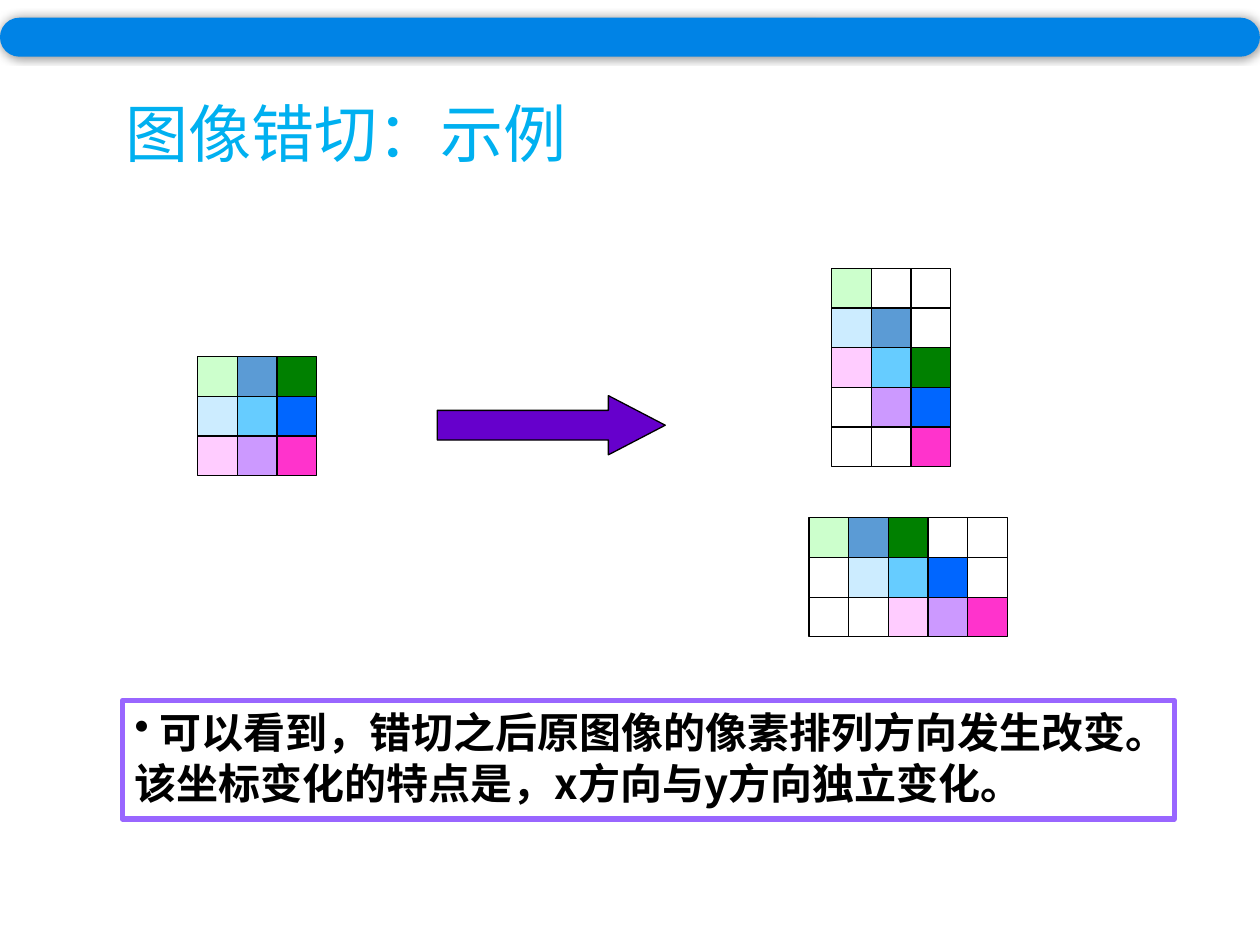
from lxml.etree import SubElement
from pptx import Presentation
from pptx.dml.color import RGBColor
from pptx.enum.shapes import MSO_SHAPE
from pptx.enum.text import MSO_ANCHOR, PP_ALIGN
from pptx.oxml.ns import qn
from pptx.util import Inches, Pt

WIDTH, HEIGHT = 10, 7.5
CELL = 0.315
CHINESE_FONT, LATIN_FONT = "Noto Sans CJK SC", "Roboto"

BLACK = RGBColor(0x00, 0x00, 0x00)
WHITE = RGBColor(0xFF, 0xFF, 0xFF)
BAR_BLUE = RGBColor(0x00, 0x83, 0xE6)
TITLE_BLUE = RGBColor(0x00, 0xB0, 0xF0)
ARROW_PURPLE = RGBColor(0x66, 0x00, 0xCC)
FRAME_PURPLE = RGBColor(0x99, 0x66, 0xFF)
PALE_GREEN = RGBColor(0xCC, 0xFF, 0xCC)
STEEL_BLUE = RGBColor(0x5B, 0x9B, 0xD5)
GREEN = RGBColor(0x00, 0x80, 0x00)
PALE_BLUE = RGBColor(0xCC, 0xEC, 0xFF)
SKY_BLUE = RGBColor(0x66, 0xCC, 0xFF)
BLUE = RGBColor(0x00, 0x66, 0xFF)
PALE_PINK = RGBColor(0xFF, 0xCC, 0xFF)
LILAC = RGBColor(0xCC, 0x99, 0xFF)
PINK = RGBColor(0xFF, 0x33, 0xCC)

PIXELS = [
    [PALE_GREEN, STEEL_BLUE, GREEN],
    [PALE_BLUE, SKY_BLUE, BLUE],
    [PALE_PINK, LILAC, PINK],
]


def add_figure(page, kind, left, top, width, height, fill=None, line=None, weight=0.75):
    figure = page.shapes.add_shape(
        kind, Inches(left), Inches(top), Inches(width), Inches(height))
    figure.shadow.inherit = False
    if fill is None:
        figure.fill.background()
    else:
        figure.fill.solid()
        figure.fill.fore_color.rgb = fill
    if line is None:
        figure.line.fill.background()
    else:
        figure.line.color.rgb = line
        figure.line.width = Pt(weight)
    return figure


def add_text(para, text, size=24, font=CHINESE_FONT, color=BLACK, bold=False):
    span = para.add_run()
    span.text = text
    span.font.size = Pt(size)
    span.font.bold = bold
    span.font.color.rgb = color
    span.font.name = font
    SubElement(span.font._element, qn("a:ea"), typeface=font)


def add_glow(figure, blur, opacity):
    """Give the figure a soft black shadow without offset."""
    effects = figure._element.spPr.find(qn("a:effectLst"))
    shadow = SubElement(effects, qn("a:outerShdw"), blurRad=str(Pt(blur)),
                        dist="0", dir="0", algn="ctr", rotWithShape="0")
    color = SubElement(shadow, qn("a:srgbClr"), val=str(BLACK))
    SubElement(color, qn("a:alpha"), val=str(opacity * 1000))


def shear(pixels, down=0, across=0):
    """Move each pixel down per column and across per row; gaps turn white."""
    size = len(pixels)
    rows, columns = size + down * (size - 1), size + across * (size - 1)
    sheared = [[WHITE] * columns for _ in range(rows)]
    for row, colors in enumerate(pixels):
        for column, color in enumerate(colors):
            sheared[row + down * column][column + across * row] = color
    return sheared


def add_pixels(page, pixels, left, top):
    for row, colors in enumerate(pixels):
        for column, color in enumerate(colors):
            add_figure(page, MSO_SHAPE.RECTANGLE, left + column * CELL,
                       top + row * CELL, CELL, CELL, fill=color, line=BLACK)


def add_title(page, text):
    box = page.shapes.add_textbox(Inches(0.9), Inches(0.46), Inches(7.3), Inches(1.25))
    frame = box.text_frame
    frame.word_wrap = True
    frame.vertical_anchor = MSO_ANCHOR.MIDDLE
    para = frame.paragraphs[0]
    para.line_spacing = 0.9
    add_text(para, text, size=36, color=TITLE_BLUE)


def add_remark(page, text):
    box = add_figure(page, MSO_SHAPE.RECTANGLE, 0.97, 5.56, 8.35, 0.94,
                     line=FRAME_PURPLE, weight=3)
    frame = box.text_frame
    frame.word_wrap = True
    frame.vertical_anchor = MSO_ANCHOR.TOP
    para = frame.paragraphs[0]
    para.alignment = PP_ALIGN.LEFT
    SubElement(para._p.get_or_add_pPr(), qn("a:buChar"), char="•")
    add_text(para, " ", font=LATIN_FONT)
    add_text(para, text, bold=True)


def add_arrow(page):
    arrow = add_figure(page, MSO_SHAPE.RIGHT_ARROW, 3.47, 3.14, 1.81, 0.47,
                       fill=ARROW_PURPLE, line=BLACK)
    arrow.adjustments[0] = 0.5
    arrow.adjustments[1] = 0.96


def add_top_bar(page):
    bar = add_figure(page, MSO_SHAPE.ROUNDED_RECTANGLE, 0, 0.14, WIDTH, 0.31,
                     fill=BAR_BLUE)
    bar.adjustments[0] = 0.5
    add_glow(bar, blur=5, opacity=40)


def main():
    deck = Presentation()
    deck.slide_width, deck.slide_height = Inches(WIDTH), Inches(HEIGHT)
    page = deck.slides.add_slide(deck.slide_layouts[6])
    add_title(page, "图像错切：示例")
    add_pixels(page, PIXELS, 1.57, 2.83)
    add_arrow(page)
    add_pixels(page, shear(PIXELS, down=1), 6.6, 2.13)
    add_pixels(page, shear(PIXELS, across=1), 6.42, 4.11)
    add_remark(page, "可以看到，错切之后原图像的像素排列方向发生改变。"
                     "该坐标变化的特点是，x方向与y方向独立变化。")
    add_top_bar(page)
    deck.save("out.pptx")


if __name__ == "__main__":
    main()
